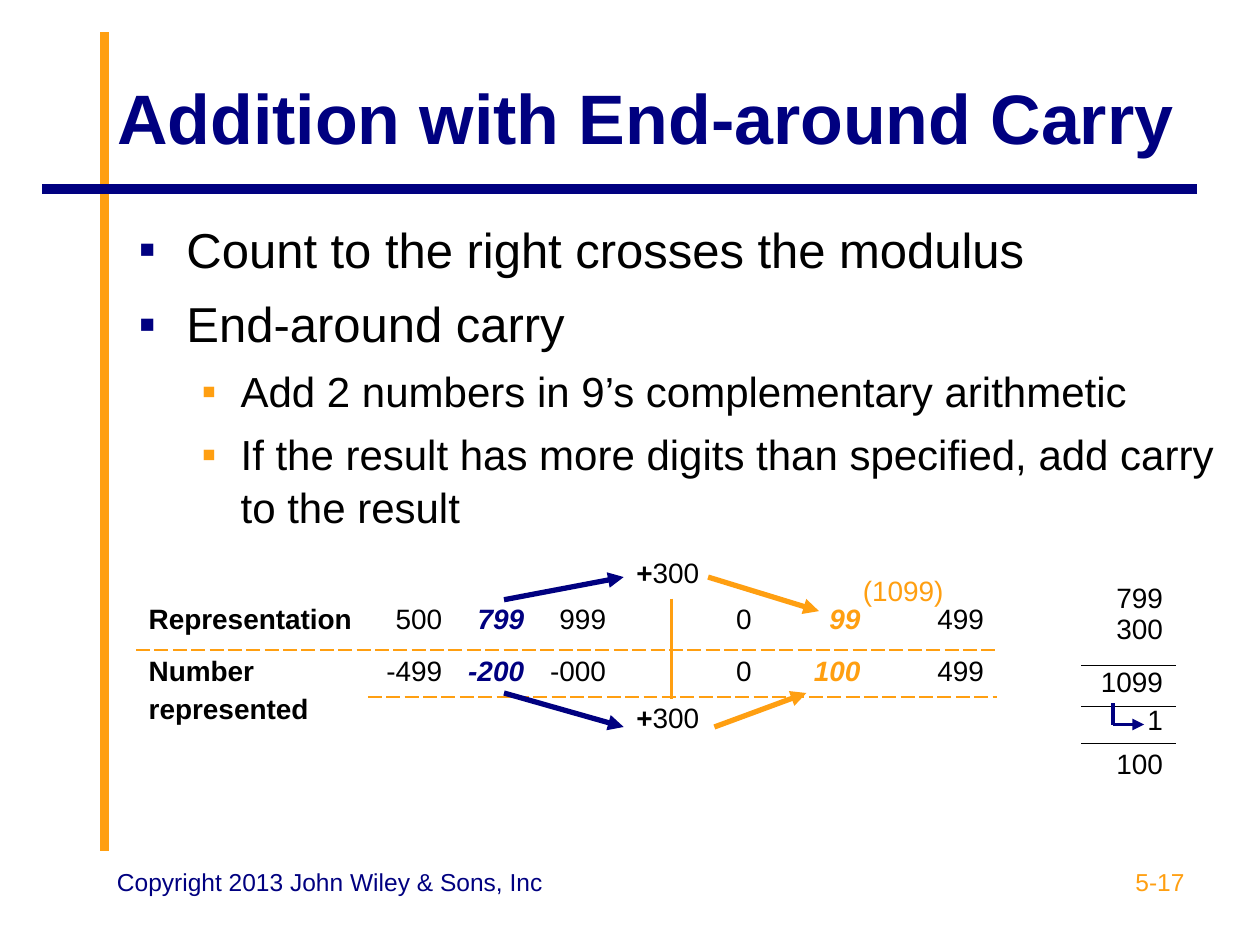
import pptx
import pptx.dml.color
import pptx.enum.dml
import pptx.enum.shapes
import pptx.enum.text
import pptx.oxml
import pptx.oxml.ns
import pptx.util
from pptx.util import Inches

NAVY, ORANGE, BLACK = "000080", "FF9F11", "000000"
LEFT = pptx.enum.text.PP_ALIGN.LEFT
CENTER = pptx.enum.text.PP_ALIGN.CENTER
RIGHT = pptx.enum.text.PP_ALIGN.RIGHT
NO_STYLE = "{2D5ABB26-0587-4C30-8999-92F81FD0307C}"


def color(hex_text):
    return pptx.dml.color.RGBColor.from_string(hex_text)


def element(markup):
    return pptx.oxml.parse_xml(markup.replace(" ", f" {pptx.oxml.ns.nsdecls('a')} ", 1))


def style_runs(para, size, hex_text, bold=False, italic=False):
    for span in para.runs:
        span.font.name = "Arial"
        span.font.size = pptx.util.Pt(size)
        span.font.color.rgb = color(hex_text)
        span.font.bold = bold
        span.font.italic = italic


def place(shape, box):
    shape.left, shape.top, shape.width, shape.height = map(Inches, box)


def add_line(page, start, end, hex_text, width, arrow=False):
    line = page.shapes.add_connector(
        pptx.enum.shapes.MSO_CONNECTOR.STRAIGHT, *map(Inches, start + end))
    line.line.color.rgb = color(hex_text)
    line.line.width = pptx.util.Pt(width)
    if arrow:
        line.line._get_or_add_ln().append(element('<a:tailEnd type="triangle"/>'))
    line._element.spPr.append(element("<a:effectLst />"))


def add_label(page, box, text, size, hex_text, align=LEFT):
    label = page.shapes.add_textbox(*map(Inches, box))
    label.text_frame.word_wrap = True
    label.text_frame.text = text
    para = label.text_frame.paragraphs[0]
    para.alignment = align
    style_runs(para, size, hex_text)


def add_plain_table(page, box, widths, heights):
    shape = page.shapes.add_table(len(heights), len(widths), *map(Inches, box))
    table = shape.table
    table.first_row = table.horz_banding = False
    shape._element.find(".//" + pptx.oxml.ns.qn("a:tableStyleId")).text = NO_STYLE
    for column, width in zip(table.columns, widths):
        column.width = Inches(width)
    for row, height in zip(table.rows, heights):
        row.height = Inches(height)
    return table


def fill_cell(cell, text, align=RIGHT, hex_text=BLACK, bold=False, italic=False):
    cell.text_frame.text = text
    for para in cell.text_frame.paragraphs:
        para.alignment = align
        style_runs(para, 16, hex_text, bold, italic)
        if not text:
            para._p.append(element('<a:endParaRPr sz="1600"/>'))
    cell.fill.background()


def set_border(cell, side, hex_text, width, dash="solid"):
    cell._tc.get_or_add_tcPr().append(element(
        f'<a:{side} w="{int(width * 12700)}"><a:solidFill><a:srgbClr val="{hex_text}"/>'
        f'</a:solidFill><a:prstDash val="{dash}"/></a:{side}>'))


def build_frame(page):
    add_line(page, (0.83, 6.75), (0.83, 0.25), ORANGE, 5.5)
    add_line(page, (9.5, 1.5), (0.33, 1.5), NAVY, 5.5)


def build_title(page, box, text):
    title = page.shapes.title
    place(title, box)
    title.text_frame.text = text
    title.text_frame.vertical_anchor = pptx.enum.text.MSO_ANCHOR.MIDDLE
    title.text_frame.auto_size = pptx.enum.text.MSO_AUTO_SIZE.NONE
    title.text_frame.paragraphs[0].alignment = LEFT
    style_runs(title.text_frame.paragraphs[0], 40, NAVY, bold=True)


def build_bullets(page, box, items):
    body = page.placeholders[1]
    place(body, box)
    frame = body.text_frame
    frame.auto_size = pptx.enum.text.MSO_AUTO_SIZE.NONE
    frame.text = "\n".join(text for level, text in items)
    looks = [(28, 7, NAVY, 0.38, 0.38), (24, 6, ORANGE, 0.81, 0.31)]
    for index, (para, (level, text)) in enumerate(zip(frame.paragraphs, items)):
        size, before, bullet, margin, hanging = looks[level]
        para.level = level
        para.line_spacing = 1.05
        para.space_before = pptx.util.Pt(before if index else 0)
        properties = para._p.get_or_add_pPr()
        properties.set("marL", str(Inches(margin)))
        properties.set("indent", str(-Inches(hanging)))
        properties.append(element(f'<a:buClr ><a:srgbClr val="{bullet}"/></a:buClr>'))
        properties.append(element('<a:buFont typeface="Arial"/>'))
        properties.append(element('<a:buChar char="▪"/>'))
        style_runs(para, size, BLACK)


def fill_step(cell):
    fill_cell(cell, "+300")
    para = cell.text_frame.paragraphs[0]
    para.runs[0].text = "+"
    para.add_run().text = "300"
    style_runs(para, 16, BLACK)
    para.runs[0].font.bold = True


def build_scale(page, box):
    table = add_plain_table(page, box, [1.84, 0.69, 0.65, 0.65, 0.74, 0.51, 1, 0.75],
                            [0.42, 0.41, 0.37, 0.38])
    rows = [
        [""] * 8,
        ["Representation", "500", "799", "999", "", "0", "99", "499"],
        ["Number\nrepresented", "-499", "-200", "-000", "", "0", "100", "499"],
        [""] * 8,
    ]
    table.cell(2, 0).merge(table.cell(3, 0))
    aligns = {0: LEFT, 5: CENTER}
    accents = {2: NAVY, 6: ORANGE}
    sides = {1: "lnB", 2: "lnT"}
    for row, texts in enumerate(rows):
        for column, text in enumerate(texts):
            cell = table.cell(row, column)
            if row in sides:
                set_border(cell, sides[row], ORANGE, 1.47, "dash")
            if cell.is_spanned:
                continue
            if column == 4 and row in (0, 3):
                fill_step(cell)
                continue
            accent = column in accents
            fill_cell(cell, text, aligns.get(column, RIGHT), accents.get(column, BLACK),
                      accent or column == 0, accent)
            if column == 6:
                cell.margin_right = Inches(0.33)
    table.cell(0, 4).text_frame.paragraphs[0].line_spacing = 1.2
    table.cell(2, 0).text_frame.paragraphs[1].space_before = pptx.util.Pt(4)

    left, top = box[:2]
    arrows = [
        ((2.92, 0.43), (3.87, 0.25), NAVY),
        ((4.54, 0.25), (5.42, 0.52), ORANGE),
        ((2.92, 1.17), (3.87, 1.44), NAVY),
        ((4.59, 1.44), (5.32, 1.17), ORANGE),
    ]
    for (x1, y1), (x2, y2), hex_text in arrows:
        add_line(page, (left + x1, top + y1), (left + x2, top + y2), hex_text, 3, True)
    add_line(page, (left + 4.25, top + 0.42), (left + 4.25, top + 1.22), ORANGE, 1.25)
    add_label(page, (left + 5.67, top + 0.17, 1, 0.37), "(1099)", 16, ORANGE)


def build_sum(page, box):
    table = add_plain_table(page, box, [box[2]], [0.7, 0.33, 0.29, 0.37])
    sides = [["lnB"], ["lnT"], ["lnB"], ["lnT"]]
    spacings = [1, 0.85, 0.7, 1]
    for row, text in enumerate(["799\n300", "1099", "1", "100"]):
        cell = table.cell(row, 0)
        for side in sides[row]:
            set_border(cell, side, BLACK, 0.45)
        fill_cell(cell, text)
        for para in cell.text_frame.paragraphs:
            para.line_spacing = spacings[row]
    x, y = box[0] + 0.25, box[1] + 1.17
    add_line(page, (x, y - 0.17), (x, y), NAVY, 2.25)
    add_line(page, (x, y), (x + 0.25, y), NAVY, 2.25, True)


def build_footer(page, top):
    add_label(page, (7.17, top, 2.33, 0.52), "5-17", 14, ORANGE, RIGHT)
    add_label(page, (0.83, top, 3.67, 0.52), "Copyright 2013 John Wiley & Sons, Inc", 14, NAVY)


def main():
    deck = pptx.Presentation()
    deck.slide_width, deck.slide_height = Inches(10), Inches(7.5)
    page = deck.slides.add_slide(deck.slide_layouts[1])
    build_frame(page)
    build_title(page, (0.83, 0.3, 8.67, 1.25), "Addition with End-around Carry")
    build_bullets(page, (1, 1.67, 8.75, 2.5), [
        (0, "Count to the right crosses the modulus"),
        (0, "End-around carry"),
        (1, "Add 2 numbers in 9’s complementary arithmetic"),
        (1, "If the result has more digits than specified, add carry to the result"),
    ])
    build_scale(page, (1.08, 4.33, 6.83, 1.58))
    build_sum(page, (8.58, 4.58, 0.75, 1.69))
    build_footer(page, 6.83)
    deck.save("out.pptx")


if __name__ == "__main__":
    main()
